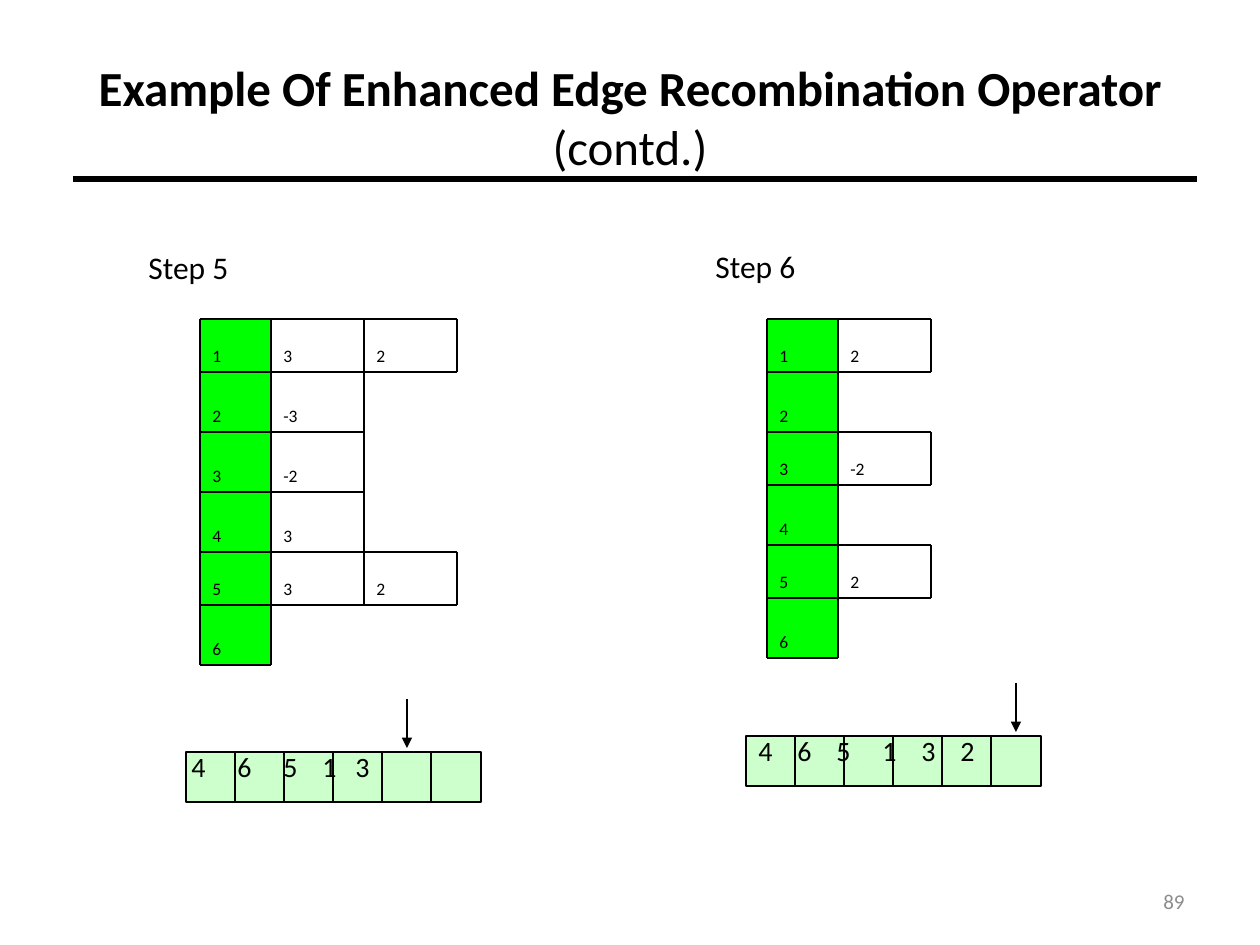
from itertools import accumulate, groupby

from lxml.etree import SubElement
from pptx import Presentation
from pptx.dml.color import RGBColor
from pptx.enum.shapes import MSO_CONNECTOR, MSO_SHAPE
from pptx.enum.text import MSO_ANCHOR, MSO_AUTO_SIZE, PP_ALIGN
from pptx.oxml.ns import qn
from pptx.util import Emu, Pt

SCALE = 914400 / 126
BLACK = "000000"
GREY = "8C8C8C"
NODE_GREEN = "00FF00"
TOUR_GREEN = "CCFFCC"
NODE_WIDTH, EDGE_WIDTH = 71, 93
SHORT_ROW, TALL_ROW = 53, 60
TOUR_CELL, TOUR_PITCH, TOUR_LENGTH = 50, 49, 6


def px(length):
    return Emu(round(length * SCALE))


def color(value):
    return RGBColor.from_string(value)


class SlideBuilder:
    """Hold the style and the current slide, and draw each kind of element."""

    def __init__(self, slide, font_name="Calibri"):
        self.slide = slide
        self.font_name = font_name

    def format_run(self, run, size, text_color=BLACK, bold=False):
        run.font.name = self.font_name
        run.font.size = Pt(size)
        run.font.bold = bold
        run.font.color.rgb = color(text_color)

    def title(self, left, top, width, height, bold_text, plain_text, size):
        shape = self.slide.shapes.title
        shape.left, shape.top = px(left), px(top)
        shape.width, shape.height = px(width), px(height)
        frame = shape.text_frame
        frame.word_wrap = True
        frame.auto_size = MSO_AUTO_SIZE.NONE
        frame.vertical_anchor = MSO_ANCHOR.MIDDLE
        paragraph = frame.paragraphs[0]
        paragraph.text = bold_text
        paragraph.alignment = PP_ALIGN.CENTER
        paragraph.add_run().text = plain_text
        for run, bold in zip(paragraph.runs, (True, False)):
            self.format_run(run, size, bold=bold)

    def fill_text(self, shape, text, size, anchor, text_color=BLACK,
                  alignment=PP_ALIGN.LEFT, tabs=()):
        frame = shape.text_frame
        frame.word_wrap = True
        frame.vertical_anchor = anchor
        paragraph = frame.paragraphs[0]
        paragraph.text = text
        paragraph.alignment = alignment
        if tabs:
            properties = paragraph._p.get_or_add_pPr()
            tab_list = SubElement(properties, qn("a:tabLst"))
            for position in tabs:
                SubElement(tab_list, qn("a:tab"), pos=str(px(position)), algn="l")
        for run in paragraph.runs:
            self.format_run(run, size, text_color)

    def text(self, left, top, width, height, text, size,
             anchor=MSO_ANCHOR.TOP, **style):
        box = self.slide.shapes.add_textbox(px(left), px(top), px(width), px(height))
        self.fill_text(box, text, size, anchor, **style)

    def rectangle(self, left, top, width, height, fill, outlined=False):
        shape = self.slide.shapes.add_shape(
            MSO_SHAPE.RECTANGLE, px(left), px(top), px(width), px(height))
        shape.shadow.inherit = False
        shape.fill.solid()
        shape.fill.fore_color.rgb = color(fill)
        if outlined:
            shape.line.color.rgb = color(BLACK)
            shape.line.width = Pt(1)
        else:
            shape.line.fill.background()
        return shape

    def line(self, start_x, start_y, end_x, end_y, weight=1.0, arrow=False):
        connector = self.slide.shapes.add_connector(
            MSO_CONNECTOR.STRAIGHT, px(start_x), px(start_y), px(end_x), px(end_y))
        connector.line.color.rgb = color(BLACK)
        connector.line.width = Pt(weight)
        if arrow:
            SubElement(connector.line._get_or_add_ln(), qn("a:tailEnd"), type="triangle")
        SubElement(connector._element.spPr, qn("a:effectLst"))

    def edge_table(self, left, top, rows):
        widest = max(map(len, rows))
        heights = [SHORT_ROW if len(row) == widest else TALL_ROW for row in rows]
        edges_y = list(accumulate(heights, initial=top))
        edges_x = list(accumulate(
            [NODE_WIDTH] + [EDGE_WIDTH] * widest, initial=left))
        for index, row in enumerate(rows):
            y, height = edges_y[index], heights[index]
            node = self.rectangle(left, y, NODE_WIDTH, height, NODE_GREEN)
            self.fill_text(node, str(index + 1), 10, MSO_ANCHOR.BOTTOM)
            for x, value in zip(edges_x[1:], row):
                self.text(x, y, EDGE_WIDTH, height, value, 10, MSO_ANCHOR.BOTTOM)

        counts = [len(row) for row in rows]
        for y, above, below in zip(edges_y, [0] + counts, counts + [0]):
            self.line(left, y, edges_x[max(above, below) + 1], y)
        self.line(left, top, left, edges_y[-1])
        for column, x in enumerate(edges_x[1:]):
            for present, group in groupby(
                    range(len(rows)), key=lambda index: counts[index] >= column):
                if present:
                    members = list(group)
                    self.line(x, edges_y[members[0]], x, edges_y[members[-1] + 1])

    def tour(self, left, top, cities, text_left, tabs, next_cell):
        for index in range(TOUR_LENGTH):
            self.rectangle(left + index * TOUR_PITCH, top, TOUR_CELL, TOUR_CELL,
                           TOUR_GREEN, outlined=True)
        arrow_x = left + next_cell * TOUR_PITCH + TOUR_CELL // 2
        self.line(arrow_x, top - 53, arrow_x, top - 4, 0.75, arrow=True)
        self.text(text_left, top - 9, 315, 75, "\t".join(cities), 16, tabs=tabs)


def main():
    presentation = Presentation()
    presentation.slide_width, presentation.slide_height = px(1260), px(945)
    builder = SlideBuilder(presentation.slides.add_slide(presentation.slide_layouts[5]))

    builder.text(903, 876, 294, 50, "89", 12, MSO_ANCHOR.MIDDLE,
                 text_color=GREY, alignment=PP_ALIGN.RIGHT)
    builder.title(63, 38, 1134, 157,
                  "Example Of Enhanced Edge Recombination Operator", " (contd.)", 28)

    builder.tour(186, 752, "46513", 179, (46, 92, 131, 164), 4)
    builder.edge_table(200, 319, [["3", "2"], ["-3"], ["-2"], ["3"], ["3", "2"], []])
    builder.tour(746, 736, "465132", 746, (39, 78, 124, 163, 202), 5)
    builder.edge_table(767, 319, [["2"], [], ["-2"], [], ["2"], []])

    builder.text(136, 242, 230, 50, "Step 5", 18)
    builder.text(703, 241, 230, 50, "Step 6", 18)
    builder.line(73, 179, 1197, 179, 3)
    presentation.save("out.pptx")


if __name__ == "__main__":
    main()
